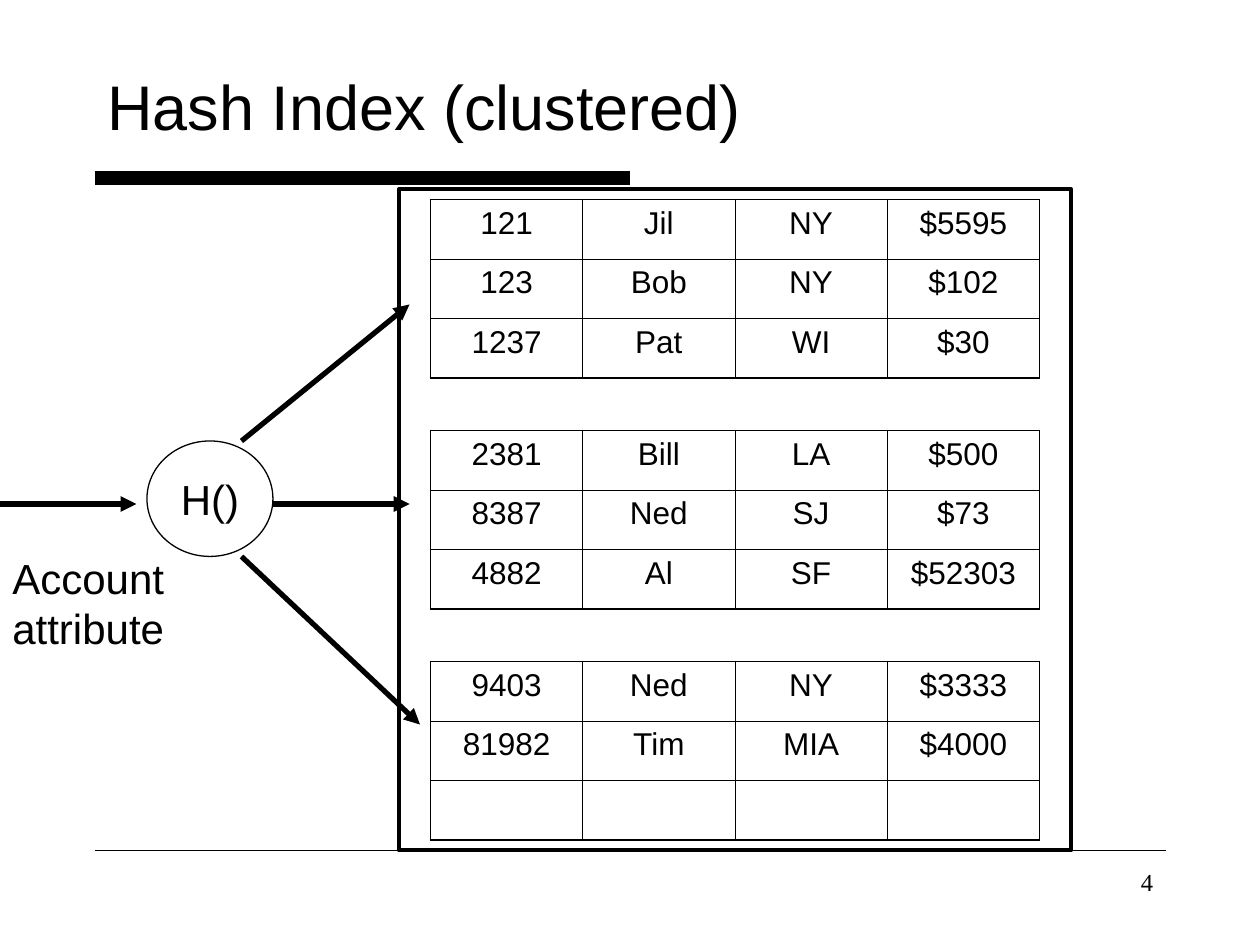
from dataclasses import dataclass
from typing import NamedTuple

from lxml.etree import SubElement
from pptx import Presentation
from pptx.dml.color import RGBColor as Rgb
from pptx.enum.shapes import MSO_CONNECTOR as Link, MSO_SHAPE as Kind
from pptx.enum.text import MSO_ANCHOR as Anchor, PP_ALIGN as Align
from pptx.oxml import parse_xml
from pptx.oxml.ns import nsdecls, qn
from pptx.util import Emu, Pt

PX = 7620


@dataclass(frozen=True)
class Theme:
    ink: Rgb = Rgb(0, 0, 0)
    paper: Rgb = Rgb(255, 255, 255)
    sans: str = "Arial"
    serif: str = "Times New Roman"
    title: int = 36
    label: int = 24
    cell: int = 18
    page: int = 14
    edge: float = 1.08
    inner: float = 0.45


class Box(NamedTuple):
    x: int
    y: int
    w: int
    h: int


class Line(NamedTuple):
    x1: int
    y1: int
    x2: int
    y2: int
    width: float
    head: bool = False


class Bucket(NamedTuple):
    y: int
    rows: tuple


THEME = Theme()

RULES = (
    Line(90, 170, 600, 170, 8),
    Line(90, 810, 1110, 810, 1),
)

ARROWS = (
    Line(230, 420, 390, 290, 3, True),
    Line(230, 530, 400, 690, 3, True),
    Line(260, 480, 390, 480, 3, True),
    Line(0, 480, 130, 480, 3, True),
)

BUCKETS = (
    Bucket(190, (
        ("121", "Jil", "NY", "$5595"),
        ("123", "Bob", "NY", "$102"),
        ("1237", "Pat", "WI", "$30"),
    )),
    Bucket(410, (
        ("2381", "Bill", "LA", "$500"),
        ("8387", "Ned", "SJ", "$73"),
        ("4882", "Al", "SF", "$52303"),
    )),
    Bucket(630, (
        ("9403", "Ned", "NY", "$3333"),
        ("81982", "Tim", "MIA", "$4000"),
        ("", "", "", ""),
    )),
)


def px(n: int) -> Emu:
    return Emu(n * PX)


def place(box: Box) -> list[Emu]:
    return [px(n) for n in box]


def write(frame, text: str, size: int, align=Align.LEFT, face: str = THEME.sans) -> None:
    frame.text = text
    for par in frame.paragraphs:
        par.alignment = align
        par.font.size = Pt(size)
        par.font.name = face
        par.font.color.rgb = THEME.ink


def draw_line(slide, line: Line) -> None:
    ends = [px(n) for n in line[:4]]
    link = slide.shapes.add_connector(Link.STRAIGHT, *ends)
    link.line.color.rgb = THEME.ink
    link.line.width = Pt(line.width)
    if line.head:
        SubElement(link.line._get_or_add_ln(), qn("a:tailEnd"), type="triangle")
    SubElement(link._element.spPr, qn("a:effectLst"))


def draw_shape(slide, kind, box: Box, width: float):
    shape = slide.shapes.add_shape(kind, *place(box))
    shape.shadow.inherit = False
    shape.fill.background()
    shape.line.color.rgb = THEME.ink
    shape.line.width = Pt(width)
    return shape


def draw_text(slide, box: Box, text: str, size: int, **style) -> None:
    frame = slide.shapes.add_textbox(*place(box)).text_frame
    frame.word_wrap = True
    write(frame, text, size, **style)


def border(cell, outer: dict[str, bool]) -> None:
    props = cell._tc.get_or_add_tcPr()
    for spot, (side, edge) in enumerate(outer.items()):
        width = Pt(THEME.edge if edge else THEME.inner)
        props.insert(spot, parse_xml(
            f'<a:ln{side} {nsdecls("a")} w="{width}"><a:solidFill>'
            f'<a:srgbClr val="{THEME.ink}"/></a:solidFill></a:ln{side}>'
        ))


def draw_bucket(slide, bucket: Bucket) -> None:
    rows, cols = len(bucket.rows), len(bucket.rows[0])
    box = Box(410, bucket.y, 580, 170)
    table = slide.shapes.add_table(rows, cols, *place(box)).table
    table.first_row = table.horz_banding = False
    for r, row in enumerate(bucket.rows):
        for c, text in enumerate(row):
            cell = table.cell(r, c)
            cell.margin_left = cell.margin_right = px(12)
            cell.margin_top = cell.margin_bottom = px(6)
            cell.fill.background()
            write(cell.text_frame, text, THEME.cell, Align.CENTER)
            border(cell, {"L": c == 0, "R": c == cols - 1,
                          "T": r == 0, "B": r == rows - 1})


def draw_title(slide) -> None:
    title = slide.shapes.title
    title.left, title.top, title.width, title.height = place(Box(90, 40, 1020, 120))
    title.text_frame.vertical_anchor = Anchor.MIDDLE
    write(title.text_frame, "Hash Index (clustered)", THEME.title)


def draw_hash(slide) -> None:
    node = draw_shape(slide, Kind.OVAL, Box(140, 420, 120, 110), 0.75)
    node.fill.solid()
    node.fill.fore_color.rgb = THEME.paper
    node.text_frame.word_wrap = False
    node.text_frame.vertical_anchor = Anchor.MIDDLE
    write(node.text_frame, "H()", THEME.label, Align.CENTER)


def main() -> None:
    deck = Presentation()
    deck.slide_width, deck.slide_height = px(1200), px(900)
    slide = deck.slides.add_slide(deck.slide_layouts[5])
    for rule in RULES:
        draw_line(slide, rule)
    draw_title(slide)
    for bucket in BUCKETS:
        draw_bucket(slide, bucket)
    draw_shape(slide, Kind.RECTANGLE, Box(380, 180, 640, 630), 2.25)
    draw_hash(slide)
    for arrow in ARROWS:
        draw_line(slide, arrow)
    draw_text(slide, Box(0, 520, 180, 108), "Account\nattribute", THEME.label)
    draw_text(slide, Box(860, 820, 250, 60), "4", THEME.page,
              align=Align.RIGHT, face=THEME.serif)
    deck.save("out.pptx")


if __name__ == "__main__":
    main()
